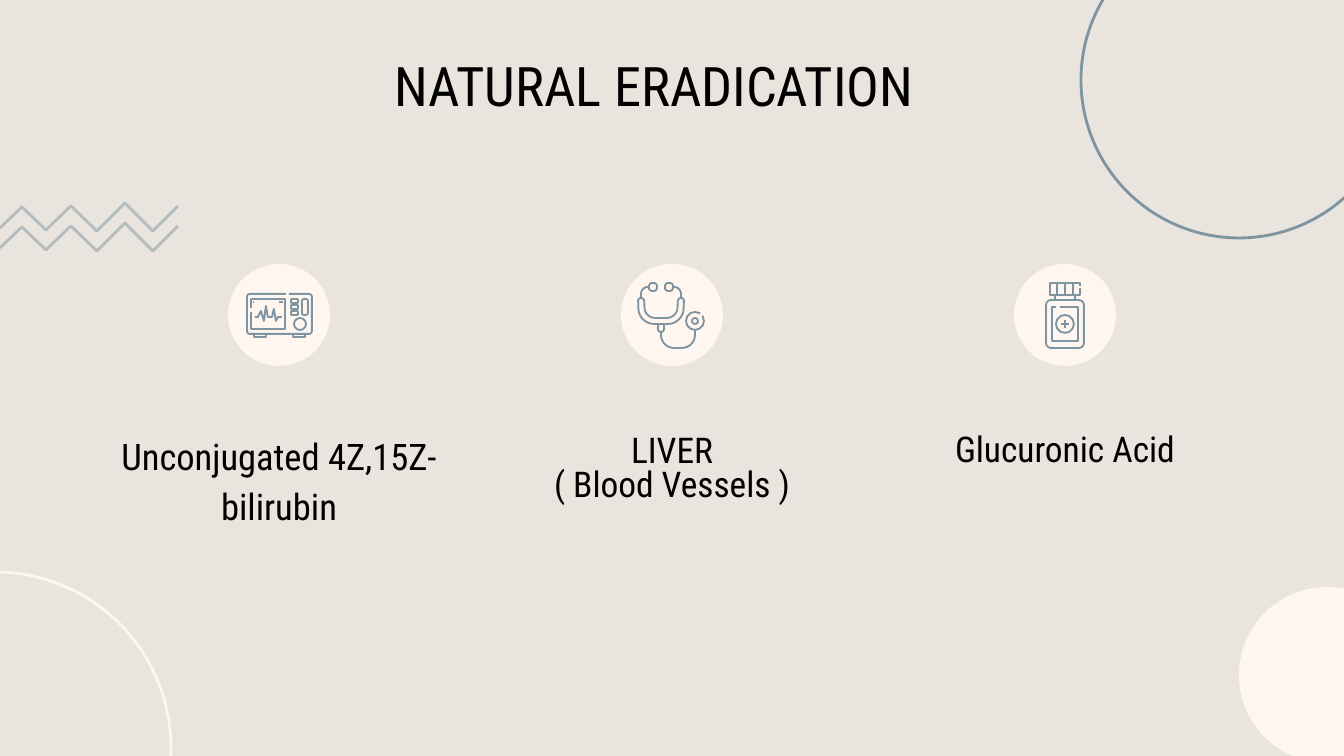
from dataclasses import dataclass
from math import hypot

from pptx import Presentation
from pptx.dml.color import RGBColor
from pptx.enum.shapes import MSO_SHAPE
from pptx.enum.text import MSO_ANCHOR, PP_ALIGN
from pptx.util import Emu, Pt

OVAL, ROUNDED, ARC = MSO_SHAPE.OVAL, MSO_SHAPE.ROUNDED_RECTANGLE, MSO_SHAPE.ARC
TOP, CENTER = MSO_ANCHOR.TOP, PP_ALIGN.CENTER
EMU_PER_PX = 914400 / 134.4


@dataclass(frozen=True)
class Theme:
    background: str = "E9E4DD"
    slate: str = "7F94A1"
    mist: str = "B4BCBF"
    cream: str = "FFF6F0"
    text: str = "000000"
    font: str = "Roboto Condensed"
    title_size: float = 29.2
    long_label_size: float = 19.6
    label_size: float = 19
    ornament_line: float = 1.5
    icon_line: float = 1


THEME = Theme()


def px(length):
    return Emu(round(length * EMU_PER_PX))


def rgb(color):
    return RGBColor.from_string(color)


def paint(shape, fill=None, line=None, width=THEME.icon_line):
    shape.shadow.inherit = False
    if fill:
        shape.fill.solid()
        shape.fill.fore_color.rgb = rgb(fill)
    else:
        shape.fill.background()
    if line:
        shape.line.color.rgb = rgb(line)
        shape.line.width = Pt(width)
    else:
        shape.line.fill.background()


def add_preset(shapes, kind, box, **colors):
    shape = shapes.add_shape(kind, *map(px, box))
    paint(shape, **colors)
    return shape


def round_corner(before, corner, after):
    x, y, radius = corner

    def toward(point):
        dx, dy = point[0] - x, point[1] - y
        reach = radius / hypot(dx, dy)
        return dx * reach, dy * reach

    (ax, ay), (bx, by) = toward(before), toward(after)
    steps = [i / 8 for i in range(9)]
    weights = [((1 - t) ** 3 + 1.35 * t * (1 - t) ** 2,
                t ** 3 + 1.35 * t ** 2 * (1 - t)) for t in steps]
    return [(x + ax * a + bx * b, y + ay * a + by * b) for a, b in weights]


def add_stroke(shapes, origin, points, closed=False,
               color=THEME.slate, width=THEME.icon_line):
    outline = []
    for i, point in enumerate(points):
        if len(point) == 3:
            after = points[(i + 1) % len(points)]
            outline += round_corner(points[i - 1], point, after)
        else:
            outline.append(point)
    left, top = origin
    vertices = [(px(left + x), px(top + y)) for x, y in outline]
    builder = shapes.build_freeform(*vertices[0], scale=1.0)
    builder.add_line_segments(vertices[1:], close=closed)
    paint(builder.convert_to_shape(), line=color, width=width)


def add_outline(shapes, origin, kind, box, radius=0):
    left, top = origin
    x, y, width, height = box
    shape = add_preset(shapes, kind, (left + x, top + y, width, height), line=THEME.slate)
    if radius:
        shape.adjustments[0] = radius / min(width, height)
    return shape


def add_text(slide, box, lines, size, spacing=None, after=0):
    frame = slide.shapes.add_textbox(*map(px, box)).text_frame
    frame.word_wrap = True
    frame.vertical_anchor = TOP
    frame.margin_left = frame.margin_right = px(13)
    frame.margin_top = frame.margin_bottom = px(13)
    for i, line in enumerate(lines):
        paragraph = frame.add_paragraph() if i else frame.paragraphs[0]
        paragraph.alignment = CENTER
        paragraph.space_after = Pt(after)
        if spacing:
            paragraph.line_spacing = spacing
        run = paragraph.add_run()
        run.text = line
        run.font.name = THEME.font
        run.font.size = Pt(size)
        run.font.color.rgb = rgb(THEME.text)


def draw_monitor(shapes, origin):
    add_stroke(shapes, origin, [(61, 30), (84, 30, 3), (84, 70, 3),
                                (19, 70, 3), (19, 30, 3), (58, 30)])
    add_stroke(shapes, origin, [(23, 48), (23, 65), (57, 65),
                                (57, 35), (23, 35), (23, 44)])
    for foot in (26, 65):
        add_stroke(shapes, origin, [(foot, 70), (foot, 73), (foot + 12, 73), (foot + 12, 70)])
    for row in range(3):
        add_outline(shapes, origin, ROUNDED, (63, 35 + 6 * row, 7, 4), 1)
    add_outline(shapes, origin, ROUNDED, (74, 35, 6, 16), 2)
    add_outline(shapes, origin, OVAL, (66, 54, 12, 12))
    for start, end in ((25, 26), (51, 55)):
        add_stroke(shapes, origin, [(start, 38), (end, 38)])
    add_stroke(shapes, origin, [(27, 53), (30, 53), (33, 47), (36, 57), (38, 42), (40, 53),
                                (44, 53), (46, 45), (48, 57), (50, 53), (54, 53)])


def draw_stethoscope(shapes, origin):
    axis = 40
    for side in (-1, 1):
        bud = axis + 8 * side
        add_outline(shapes, origin, ROUNDED, (bud - 4, 19, 8, 8), 3)
        add_stroke(shapes, origin, [(axis + 12 * side, 23), (axis + 20 * side, 23, 7),
                                    (axis + 20 * side, 34)])
    add_stroke(shapes, origin, [(17, 34, 3), (23, 34, 3), (24, 54, 10), (56, 54, 10),
                                (57, 34, 3), (63, 34, 3), (62, 60, 15), (18, 60, 15)],
               closed=True)
    add_stroke(shapes, origin, [(37, 60), (37, 68, 3), (43, 68, 3), (43, 60)])
    add_stroke(shapes, origin, [(40, 68), (40, 84, 13), (74, 84, 13), (74, 66)])
    add_outline(shapes, origin, OVAL, (71, 54, 6, 6))
    rim = add_outline(shapes, origin, ARC, (65, 48, 18, 18))
    for i, degrees in enumerate((325, 305)):
        rim.adjustments[i] = degrees * 0.6


def draw_bottle(shapes, origin):
    add_stroke(shapes, origin, [(66, 24), (66, 31), (36, 31), (36, 19), (66, 19), (66, 22)])
    for ridge in (43, 51, 59):
        add_stroke(shapes, origin, [(ridge, 19), (ridge, 31)])
    for edge in (41, 61):
        add_stroke(shapes, origin, [(edge, 31), (edge, 36)])
    add_outline(shapes, origin, ROUNDED, (32, 36, 38, 48), 5)
    add_stroke(shapes, origin, [(46, 43), (64, 43), (64, 77), (38, 77), (38, 43), (42, 43)])
    add_outline(shapes, origin, OVAL, (42, 51, 18, 18))
    add_stroke(shapes, origin, [(47, 60), (55, 60)])
    add_stroke(shapes, origin, [(51, 56), (51, 64)])


def add_zigzags(slide, left, top):
    group = slide.shapes.add_group_shape()
    peaks = [(0, 25), (22, 4), (46, 27), (71, 3), (97, 28), (125, 0), (153, 28), (178, 3)]
    for offset in (0, 20):
        add_stroke(group.shapes, (left, top + offset), peaks,
                   color=THEME.mist, width=THEME.ornament_line)


def add_ornaments(slide):
    ring = THEME.ornament_line
    add_preset(slide.shapes, OVAL, (1081, -78, 316, 316), line=THEME.slate, width=ring)
    add_zigzags(slide, 0, 203)
    add_preset(slide.shapes, OVAL, (-181, 572, 352, 352), line=THEME.cream, width=ring)
    add_preset(slide.shapes, OVAL, (1239, 587, 176, 176), fill=THEME.cream)


def add_stage(slide, left, top, width, draw_icon, label_offset, label):
    badge = 102
    badge_left = left + (width - badge) // 2
    add_preset(slide.shapes, OVAL, (badge_left, top, badge, badge), fill=THEME.cream)
    draw_icon(slide.shapes.add_group_shape().shapes, (badge_left, top))
    add_text(slide, (left, top + label_offset, width, 85), **label)


def build_slide(slide):
    slide.background.fill.solid()
    slide.background.fill.fore_color.rgb = rgb(THEME.background)
    add_ornaments(slide)
    stages = [
        (draw_monitor, 150, dict(lines=["Unconjugated 4Z,15Z-bilirubin"],
                                 size=THEME.long_label_size, spacing=1.15, after=12)),
        (draw_stethoscope, 159, dict(lines=["LIVER", "( Blood Vessels )"],
                                     size=THEME.label_size, spacing=0.8)),
        (draw_bottle, 150, dict(lines=["Glucuronic Acid"], size=THEME.label_size, after=12)),
    ]
    for column, stage in enumerate(stages):
        add_stage(slide, 105 + 393 * column, 264, 348, *stage)
    add_text(slide, (87, 39, 1134, 85), ["NATURAL ERADICATION"], THEME.title_size)


def main():
    deck = Presentation()
    deck.slide_width, deck.slide_height = px(1344), px(756)
    build_slide(deck.slides.add_slide(deck.slide_layouts[6]))
    deck.save("out.pptx")


if __name__ == "__main__":
    main()
